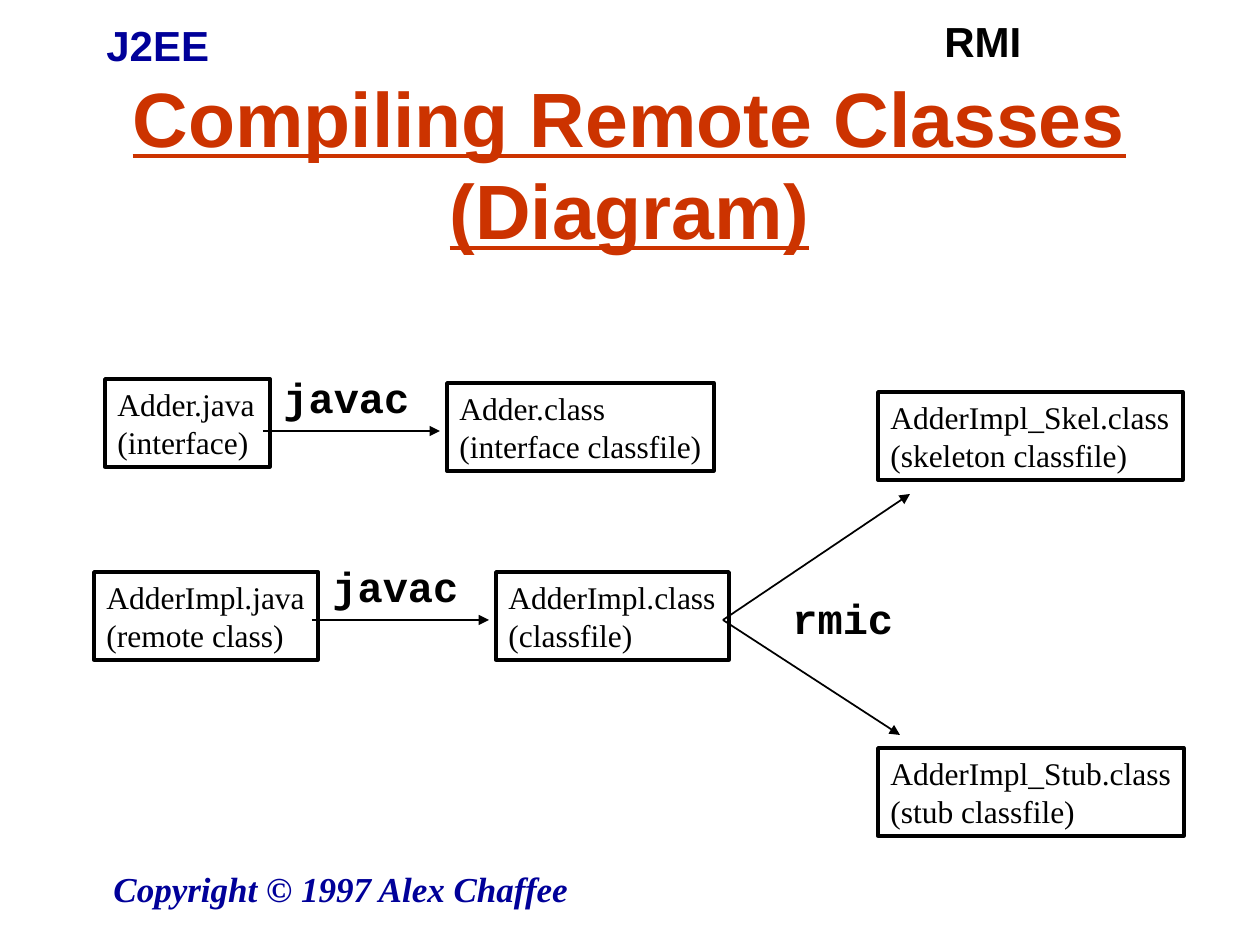
from dataclasses import dataclass

from lxml import etree
from pptx import Presentation
from pptx.dml.color import RGBColor
from pptx.enum.shapes import MSO_CONNECTOR, MSO_SHAPE
from pptx.enum.text import MSO_ANCHOR, PP_ALIGN
from pptx.oxml.ns import qn
from pptx.util import Emu, Pt

RECTANGLE = MSO_SHAPE.RECTANGLE
STRAIGHT = MSO_CONNECTOR.STRAIGHT
TOP, MIDDLE = MSO_ANCHOR.TOP, MSO_ANCHOR.MIDDLE
LEFT, CENTER = PP_ALIGN.LEFT, PP_ALIGN.CENTER

PX = 914400 // 126  # EMU per px
SLIDE_SIZE = (1260, 945)


@dataclass(frozen=True)
class Theme:
    black: RGBColor = RGBColor(0x00, 0x00, 0x00)
    navy: RGBColor = RGBColor(0x00, 0x00, 0x99)
    rust: RGBColor = RGBColor(0xCC, 0x33, 0x00)
    heading_font: str = "Arial"
    command_font: str = "Courier New"
    body_font: str = "Times New Roman"
    title_size: int = 44
    label_size: int = 24
    footer_size: int = 20
    file_size: int = 18
    box_line: int = 2
    arrow_line: int = 1


THEME = Theme()
LINE_HEIGHT = 63
FILE_HEIGHT = 88


def px(*lengths):
    return [Emu(length * PX) for length in lengths]


def write(shape, text, font, size, color, bold=False, italic=False,
          underline=False, align=LEFT, anchor=TOP, wrap=True):
    """Put text in a shape, one paragraph a line, and format its runs."""
    frame = shape.text_frame
    frame.text = text
    frame.word_wrap = wrap
    frame.vertical_anchor = anchor
    for paragraph in frame.paragraphs:
        paragraph.alignment = align
        for run in paragraph.runs:
            run.font.name = font
            run.font.size = Pt(size)
            run.font.color.rgb = color
            run.font.bold = bold
            run.font.italic = italic
            run.font.underline = underline


def add_label(slide, bounds, text, font, size, color, **style):
    label = slide.shapes.add_textbox(*px(*bounds))
    write(label, text, font, size, color, **style)


def add_command(slide, left, top, width, text):
    add_label(slide, (left, top, width, LINE_HEIGHT), text, THEME.command_font,
              THEME.label_size, THEME.black, bold=True, wrap=False)


def add_file(slide, left, top, width, name, role):
    """Draw a framed file name with its role below."""
    file_box = slide.shapes.add_shape(
        RECTANGLE, *px(left, top, width, FILE_HEIGHT))
    file_box.shadow.inherit = False
    file_box.fill.background()
    file_box.line.color.rgb = THEME.black
    file_box.line.width = Pt(THEME.box_line)
    write(file_box, f"{name}\n({role})", THEME.body_font, THEME.file_size,
          THEME.black, wrap=False)


def add_arrow(slide, start, end):
    arrow = slide.shapes.add_connector(STRAIGHT, *px(*start, *end))
    arrow.line.color.rgb = THEME.black
    arrow.line.width = Pt(THEME.arrow_line)
    outline = arrow.line._get_or_add_ln()
    etree.SubElement(outline, qn("a:tailEnd"), type="triangle")
    etree.SubElement(arrow._element.spPr, qn("a:effectLst"))


def main():
    deck = Presentation()
    deck.slide_width, deck.slide_height = px(*SLIDE_SIZE)
    slide = deck.slides.add_slide(deck.slide_layouts[6])

    # Page headers and title
    add_label(slide, (94, 13, 220, LINE_HEIGHT), "J2EE", THEME.heading_font,
              THEME.label_size, THEME.navy, bold=True)
    add_label(slide, (932, 9, 212, LINE_HEIGHT), "RMI", THEME.heading_font,
              THEME.label_size, THEME.black, bold=True)
    add_label(slide, (94, 84, 1071, 158), "Compiling Remote Classes (Diagram)",
              THEME.heading_font, THEME.title_size, THEME.rust, bold=True,
              underline=True, align=CENTER, anchor=MIDDLE)

    # Source files, class files and generated files
    for file in (
        (105, 379, 165, "Adder.java", "interface"),
        (447, 383, 267, "Adder.class", "interface classfile"),
        (94, 572, 224, "AdderImpl.java", "remote class"),
        (496, 572, 233, "AdderImpl.class", "classfile"),
        (878, 392, 305, "AdderImpl_Skel.class", "skeleton classfile"),
        (878, 748, 306, "AdderImpl_Stub.class", "stub classfile"),
    ):
        add_file(slide, *file)

    # javac steps: the command stands above its arrow
    for left, arrow_y in ((263, 431), (312, 620)):
        add_arrow(slide, (left, arrow_y), (left + 177, arrow_y))
        add_command(slide, left + 8, arrow_y - 66, 151, "javac")

    # rmic step: one class file gives a skeleton and a stub
    for target in ((910, 494), (900, 735)):
        add_arrow(slide, (723, 620), target)
    add_command(slide, 780, 586, 126, "rmic")

    # Copyright line
    add_label(slide, (101, 861, 724, LINE_HEIGHT),
              "Copyright © 1997 Alex Chaffee", THEME.body_font,
              THEME.footer_size, THEME.navy, bold=True, italic=True)

    deck.save("out.pptx")


if __name__ == "__main__":
    main()
